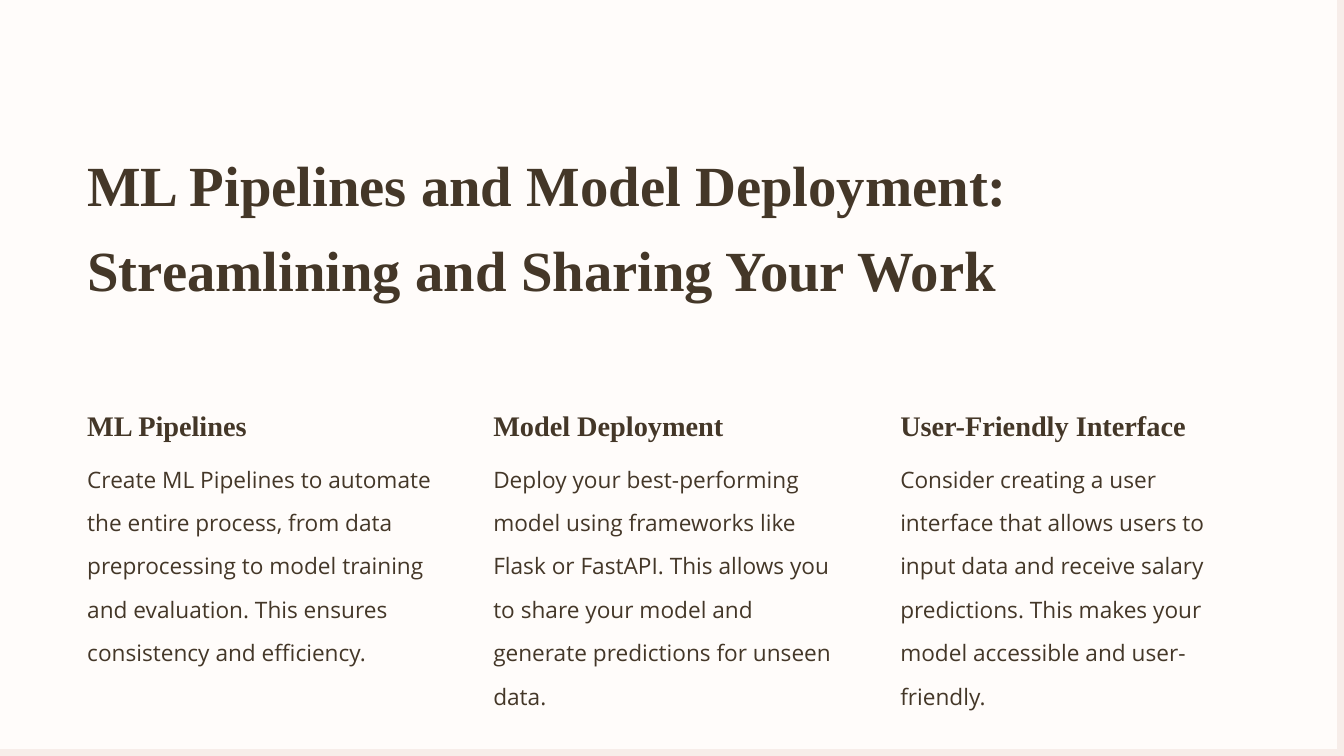
from pptx import Presentation
from pptx.dml.color import RGBColor
from pptx.enum.shapes import MSO_SHAPE
from pptx.enum.text import MSO_ANCHOR, MSO_AUTO_SIZE, PP_ALIGN
from pptx.util import Pt

RECT = MSO_SHAPE.RECTANGLE
TOP = MSO_ANCHOR.TOP
FIXED = MSO_AUTO_SIZE.NONE
LEFT = PP_ALIGN.LEFT

# Content
TITLE = "ML Pipelines and Model Deployment: Streamlining and Sharing Your Work"
COLUMNS = [
    ("ML Pipelines",
     "Create ML Pipelines to automate the entire process, from data "
     "preprocessing to model training and evaluation. This ensures "
     "consistency and efficiency."),
    ("Model Deployment",
     "Deploy your best-performing model using frameworks like Flask or "
     "FastAPI. This allows you to share your model and generate "
     "predictions for unseen data."),
    ("User-Friendly Interface",
     "Consider creating a user interface that allows users to input data "
     "and receive salary predictions. This makes your model accessible "
     "and user-friendly."),
]

# Style: font, size, bold, line spacing
HEAD = ("Times New Roman", 48.6, True, 1.25)
SUB = ("Times New Roman", 24.3, True, 1.25)
BODY = ("Open Sans", 19.4, False, 1.6)
INK, PAPER, EDGE = "443728", "FFFCFA", "F7EDE9"

# Layout in px
PX = 914400 // 84
WIDE, HIGH = 1344, 756
RIM = 7
MARGIN, SPAN, COL = 79, 1185, 372


def color(code):
    return RGBColor.from_string(code)


def emu(*sizes):
    return [size * PX for size in sizes]


def write(shape, text, style):
    font, size, bold, spacing = style
    frame = shape.text_frame
    frame.word_wrap = True
    frame.auto_size = FIXED
    frame.vertical_anchor = TOP
    frame.text = text
    para = frame.paragraphs[0]
    para.alignment = LEFT
    para.line_spacing = spacing
    para.font.name = font
    para.font.size = Pt(size)
    para.font.bold = bold
    para.font.color.rgb = color(INK)


def main():
    deck = Presentation()
    deck.slide_width, deck.slide_height = emu(WIDE, HIGH)
    slide = deck.slides.add_slide(deck.slide_layouts[5])
    shapes = slide.shapes
    title = shapes.title

    # Background and paper panel, placed behind the title
    back = slide.background.fill
    back.solid()
    back.fore_color.rgb = color(EDGE)
    panel = shapes.add_shape(RECT, *emu(0, 0, WIDE - RIM, HIGH - RIM))
    panel.shadow.inherit = False
    panel.fill.solid()
    panel.fill.fore_color.rgb = color(PAPER)
    panel.line.fill.background()
    title.element.addprevious(panel.element)

    # Title
    title.left, title.top, title.width, title.height = emu(
        MARGIN, 129, SPAN, 142)
    write(title, TITLE, HEAD)

    # Columns spread evenly over the title's width
    for i, (name, text) in enumerate(COLUMNS):
        left = MARGIN + (SPAN - COL) * i // (len(COLUMNS) - 1)
        write(shapes.add_textbox(*emu(left, 396, COL, 35)), name, SUB)
        write(shapes.add_textbox(*emu(left, 445, COL, 181)), text, BODY)

    deck.save("out.pptx")


if __name__ == "__main__":
    main()
